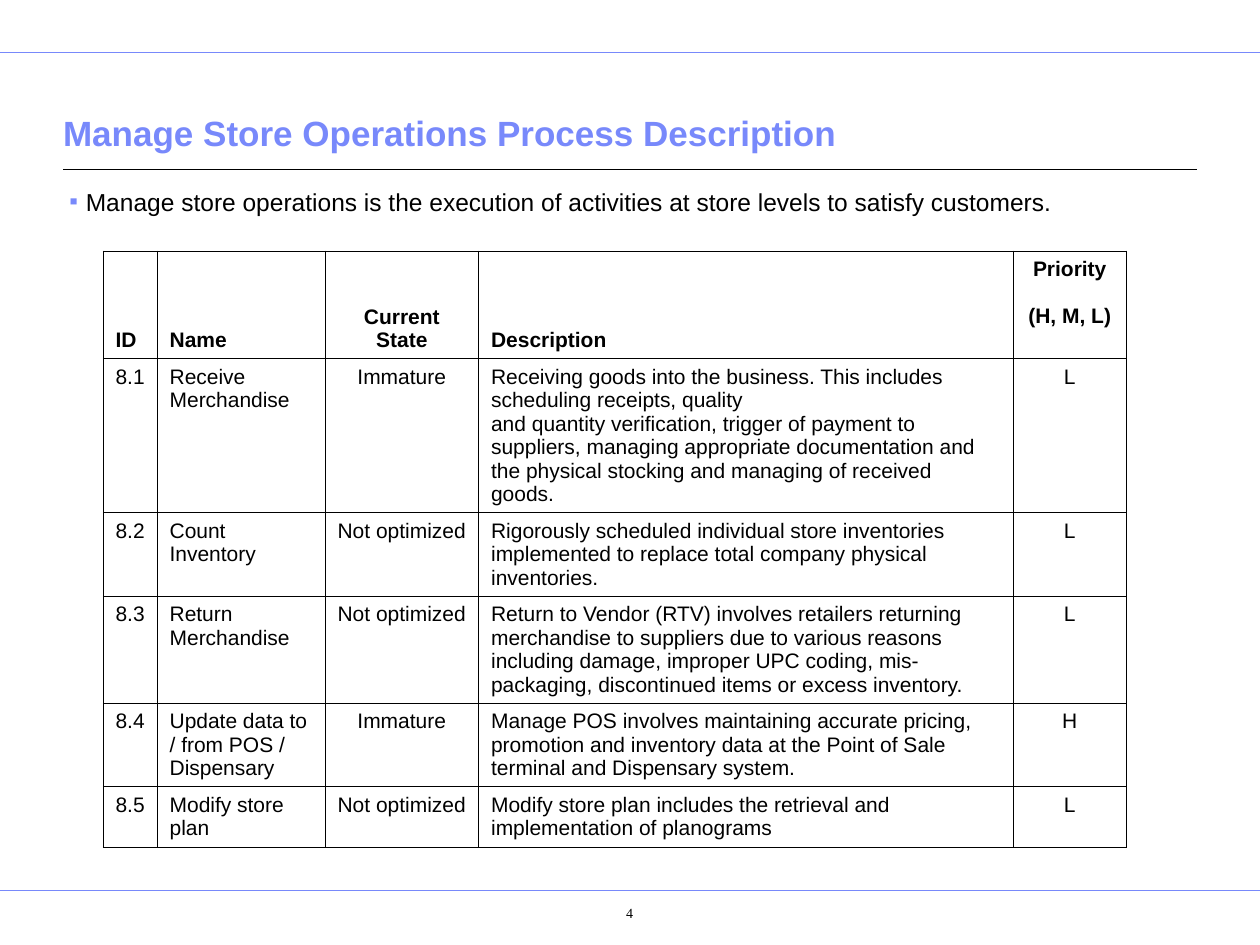
from lxml.etree import SubElement
from pptx import Presentation
from pptx.dml.color import RGBColor
from pptx.enum.shapes import MSO_CONNECTOR
from pptx.enum.text import MSO_ANCHOR, MSO_AUTO_SIZE, PP_ALIGN
from pptx.oxml.ns import qn
from pptx.util import Cm, Pt

BLUE, BLACK, WHITE = "7889FB", "000000", "FFFFFF"
LEFT, CENTER = PP_ALIGN.LEFT, PP_ALIGN.CENTER

COLUMN_WIDTHS = [1.09, 3.38, 3.1, 10.77, 2.29]
COLUMN_ALIGNS = [LEFT, LEFT, CENTER, LEFT, CENTER]
ROW_HEIGHTS = [0.95, 1.22, 3.1, 1.68, 2.16, 1.68, 1.22]
HEADER = [
    ["ID", "", "Current State", "Description", "Priority"],
    ["", "Name", "", "", "(H, M, L)"],
]
PROCESSES = [
    ["8.1", "Receive Merchandise", "Immature",
     "Receiving goods into the business. This includes scheduling receipts, quality\n"
     "and quantity verification, trigger of payment to suppliers, managing appropriate "
     "documentation and the physical stocking and managing of received goods.", "L"],
    ["8.2", "Count Inventory", "Not optimized",
     "Rigorously scheduled individual store inventories implemented to replace "
     "total company physical inventories.", "L"],
    ["8.3", "Return Merchandise", "Not optimized",
     "Return to Vendor (RTV) involves retailers returning merchandise to suppliers due to "
     "various reasons including damage, improper UPC coding, mis- packaging, discontinued "
     "items or excess inventory.", "L"],
    ["8.4", "Update data to / from POS / Dispensary", "Immature",
     "Manage POS involves maintaining accurate pricing, promotion and inventory data at "
     "the Point of Sale terminal and Dispensary system.", "H"],
    ["8.5", "Modify store plan", "Not optimized",
     "Modify store plan includes the retrieval and implementation of planograms", "L"],
]


def color(hex_string):
    return RGBColor.from_string(hex_string)


def place(shape, box):
    shape.left, shape.top, shape.width, shape.height = (Cm(length) for length in box)


def set_insets(frame, left, top, right, bottom):
    frame.margin_left, frame.margin_top = Cm(left), Cm(top)
    frame.margin_right, frame.margin_bottom = Cm(right), Cm(bottom)


def write(para, text, size, hex_string=BLACK, bold=False, align=LEFT, name="Arial"):
    para.text = text
    para.alignment = align
    for font in [para.font] + [span.font for span in para.runs]:
        font.size, font.bold, font.name = Pt(size), bold, name
        font.color.rgb = color(hex_string)


def add_rule(page, left, top, width, hex_string, weight):
    rule = page.shapes.add_connector(
        MSO_CONNECTOR.STRAIGHT, Cm(left), Cm(top), Cm(left + width), Cm(top))
    rule.line.color.rgb = color(hex_string)
    rule.line.width = Pt(weight)
    SubElement(rule._element.spPr, qn("a:effectLst"))


def add_title(page, box):
    title = page.shapes.title
    place(title, box)
    frame = title.text_frame
    frame.auto_size = MSO_AUTO_SIZE.NONE
    frame.vertical_anchor = MSO_ANCHOR.BOTTOM
    set_insets(frame, 0, 0.13, 0, 0.13)
    write(frame.paragraphs[0], "Manage Store Operations Process Description", 20, BLUE, True)
    # Rule under the title
    left, top, width, height = box
    add_rule(page, left, top + height + 0.18, width, BLACK, 0.75)


def add_body(page, box):
    body = page.placeholders[1]
    place(body, box)
    frame = body.text_frame
    frame.auto_size = MSO_AUTO_SIZE.NONE
    set_insets(frame, 0.13, 0.13, 0.13, 0.13)
    para = frame.paragraphs[0]
    # Square bullet with a hanging indent
    props = para._p.get_or_add_pPr()
    props.set("marL", str(Cm(0.33)))
    props.set("indent", str(-Cm(0.33)))
    bullet_color = SubElement(props, qn("a:buClr"))
    SubElement(bullet_color, qn("a:srgbClr"), val=BLUE)
    SubElement(props, qn("a:buFont"), typeface="Arial")
    SubElement(props, qn("a:buChar"), char="▪")
    para.line_spacing = 1.04
    para.space_before = Pt(3.5)
    write(para, "Manage store operations is the execution of activities "
                "at store levels to satisfy customers.", 14)


def set_borders(cell, sides):
    props = cell._tc.get_or_add_tcPr()
    for side in "LRTB":
        line = SubElement(props, qn(f"a:ln{side}"), w=str(Pt(0.45)))
        if side in sides:
            fill = SubElement(line, qn("a:solidFill"))
            SubElement(fill, qn("a:srgbClr"), val=BLACK)
        else:
            SubElement(line, qn("a:noFill"))


def add_process_table(page, left, top):
    rows = HEADER + PROCESSES
    table = page.shapes.add_table(
        len(rows), len(COLUMN_WIDTHS), Cm(left), Cm(top),
        Cm(sum(COLUMN_WIDTHS)), Cm(sum(ROW_HEIGHTS))).table
    table.first_row = table.horz_banding = False
    for column, width in zip(table.columns, COLUMN_WIDTHS):
        column.width = Cm(width)
    for row, height in zip(table.rows, ROW_HEIGHTS):
        row.height = Cm(height)

    for r, texts in enumerate(rows):
        is_header = r < len(HEADER)
        for c, text in enumerate(texts):
            cell = table.cell(r, c)
            # Name and Priority headings share two rows with no line between
            open_side = {0: "B", 1: "T"}.get(r, "") if c in (1, 4) else ""
            set_borders(cell, "LRTB".replace(open_side, "") if open_side else "LRTB")
            cell.fill.solid()
            cell.fill.fore_color.rgb = color(WHITE)
            set_insets(cell, 0.25, 0.13, 0.25, 0.13)
            bottom = is_header and c < 4
            cell.vertical_anchor = MSO_ANCHOR.BOTTOM if bottom else MSO_ANCHOR.TOP
            write(cell.text_frame.paragraphs[0], text, 12,
                  bold=is_header, align=COLUMN_ALIGNS[c])

    for c in (0, 2, 3):
        table.cell(0, c).merge(table.cell(1, c))


def add_page_number(page, box):
    number = page.shapes.add_textbox(*(Cm(length) for length in box))
    frame = number.text_frame
    frame.word_wrap = True
    set_insets(frame, 0.41, 0.18, 0.25, 0.13)
    para = frame.paragraphs[0]
    para._p.get_or_add_pPr().set("marL", str(Cm(0.61)))
    write(para, "4", 8, align=CENTER, name="Times New Roman")


def main():
    deck = Presentation()
    deck.slide_width, deck.slide_height = Cm(25.4), Cm(19.05)
    page = deck.slides.add_slide(deck.slide_layouts[1])

    # Header and footer rules
    for top in (1.05, 17.96):
        add_rule(page, 0, top, 25.4, BLUE, 0.5)

    add_title(page, (1.27, 1.63, 22.86, 1.6))
    add_body(page, (1.27, 3.61, 22.86, 14))
    add_process_table(page, 2.08, 5.06)
    add_page_number(page, (10.85, 18.06, 2.92, 0.89))
    deck.save("out.pptx")


if __name__ == "__main__":
    main()
